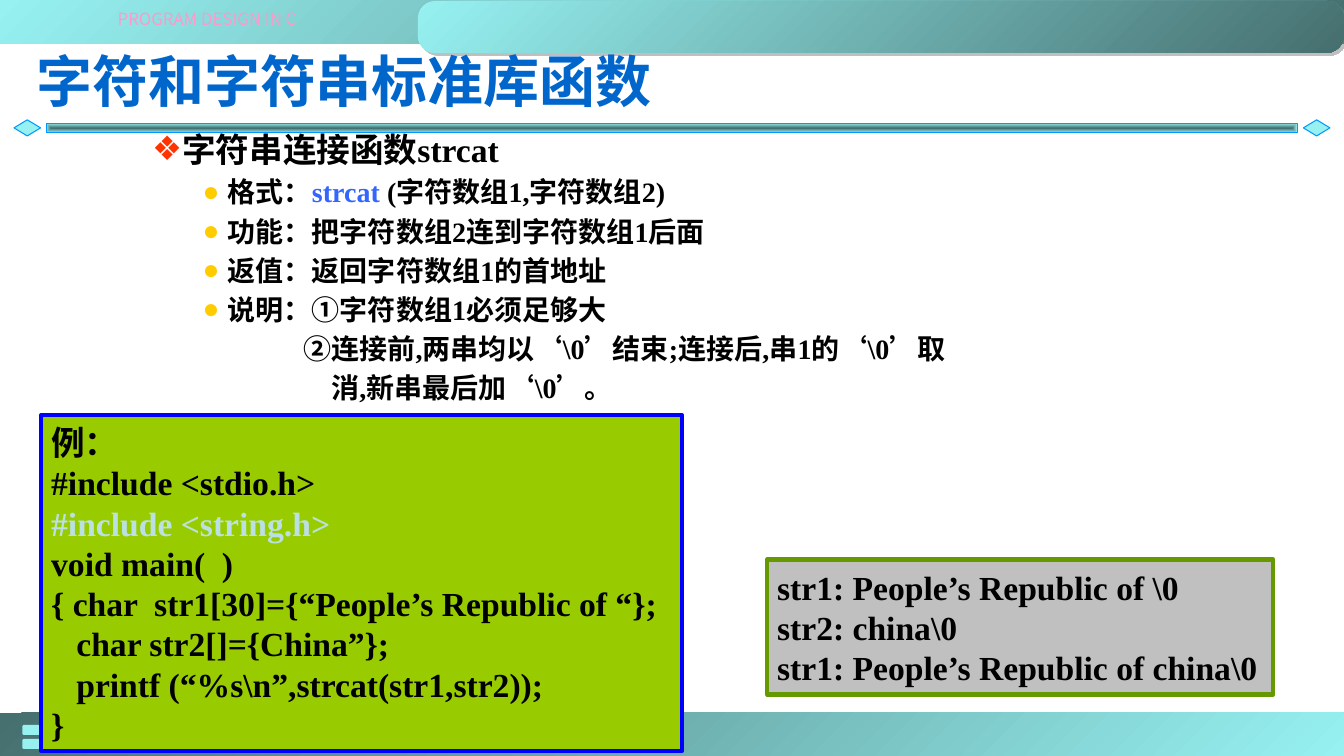
from dataclasses import dataclass

from lxml.etree import SubElement
from pptx import Presentation
from pptx.dml.color import RGBColor
from pptx.enum.shapes import MSO_SHAPE as Preset
from pptx.enum.text import MSO_ANCHOR as Anchor, MSO_AUTO_SIZE as AutoSize, PP_ALIGN as Align
from pptx.oxml.ns import qn
from pptx.util import Pt


@dataclass(frozen=True)
class Theme:
    aqua: str = "97F1F1"
    teal: str = "466F6F"
    edge: str = "0099FF"
    title: str = "0066CC"
    tag: str = "FF99CC"
    ink: str = "000000"
    keyword: str = "3366FF"
    include: str = "BBE0E3"
    topic_mark: str = "FF3300"
    item_mark: str = "FFCC00"
    shadow: str = "808080"
    code: tuple = ("99CC00", "0000FF")
    output: tuple = ("C0C0C0", "669900")
    title_size: int = 40
    topic_size: int = 24
    item_size: int = 20
    tag_size: int = 12
    latin: str = "Times New Roman"
    asian: str = "Noto Sans CJK SC"
    title_font: str = "Noto Sans CJK JP"


def rgb(value):
    return RGBColor.from_string(value)


class SlideBuilder:
    def __init__(self, page, theme):
        self.page, self.theme = page, theme

    def style(self, span, size, color, bold=True, latin=None, asian=None):
        font = span.font
        font.size, font.bold = Pt(size), bold
        font.color.rgb = rgb(color)
        font.name = latin or self.theme.latin
        SubElement(font._element, qn("a:ea"), typeface=asian or self.theme.asian)

    def shape(self, preset, at, fill=None, line=None, weight=0.75, adjust=None):
        shape = self.page.shapes.add_shape(preset, *map(Pt, at))
        shape.shadow.inherit = False
        if adjust is not None:
            shape.adjustments[0] = adjust
        if fill:
            shape.fill.solid()
            shape.fill.fore_color.rgb = rgb(fill)
        if line:
            shape.line.color.rgb = rgb(line)
            shape.line.width = Pt(weight)
        else:
            shape.line.fill.background()
        return shape

    def gradient(self, shape, start, end, from_center=False):
        fill = shape.fill
        fill.gradient()
        fill.gradient_angle = 315
        for stop, color in zip(fill.gradient_stops, (start, end)):
            stop.color.rgb = rgb(color)
        if from_center:
            linear = next(shape._element.iter(qn("a:lin")))
            holder = linear.getparent()
            holder.remove(linear)
            radial = SubElement(holder, qn("a:path"), path="rect")
            sides = dict.fromkeys("ltrb", "50000")
            SubElement(radial, qn("a:fillToRect"), **sides)

    def drop_shadow(self, shape):
        effects = next(shape._element.iter(qn("a:effectLst")))
        shadow = SubElement(effects, qn("a:outerShdw"), dist=str(Pt(2.8)), dir="2700000")
        color = SubElement(shadow, qn("a:srgbClr"), val=self.theme.shadow)
        SubElement(color, qn("a:alpha"), val="50000")

    def tag(self, text, at):
        box = self.page.shapes.add_textbox(*map(Pt, at))
        frame = box.text_frame
        frame.margin_top = frame.margin_bottom = 0
        frame.word_wrap = True
        frame.text = text
        para = frame.paragraphs[0]
        para.alignment = Align.CENTER
        theme = self.theme
        self.style(para.runs[0], theme.tag_size, theme.tag, False, theme.asian)

    def placeholder(self, holder, at, anchor):
        """Place a template placeholder above everything drawn so far."""
        holder.left, holder.top, holder.width, holder.height = map(Pt, at)
        element = holder._element
        element.getparent().append(element)
        frame = holder.text_frame
        frame.word_wrap, frame.auto_size = True, AutoSize.NONE
        frame.vertical_anchor = anchor
        return frame

    def title(self, text, at):
        frame = self.placeholder(self.page.shapes.title, at, Anchor.MIDDLE)
        frame.text = text
        para = frame.paragraphs[0]
        para.alignment = Align.LEFT
        theme = self.theme
        self.style(para.runs[0], theme.title_size, theme.title, True,
                   theme.title_font, theme.title_font)

    def outline(self, rows, at):
        """Fill the body with rows of (level, left, mark, mark colour, spans)."""
        theme = self.theme
        frame = self.placeholder(self.page.placeholders[1], at, Anchor.TOP)
        for index, (level, left, mark, mark_color, spans) in enumerate(rows):
            para = frame.add_paragraph() if index else frame.paragraphs[0]
            size = theme.topic_size if level == 1 else theme.item_size
            para.level = level
            para.line_spacing = Pt(1.2 * size)
            para.space_before = Pt(0.2 * size if index else 0)
            props = para._p.get_or_add_pPr()
            props.set("marL", str(Pt(left)))
            props.set("indent", str(Pt(-18 if mark else 0)))
            if mark:
                tint = SubElement(props, qn("a:buClr"))
                SubElement(tint, qn("a:srgbClr"), val=mark_color)
                SubElement(props, qn("a:buChar"), char=mark)
            else:
                SubElement(props, qn("a:buNone"))
            for text, color in spans:
                span = para.add_run()
                span.text = text
                self.style(span, size, color)

    def panel(self, lines, at, colors, highlight=()):
        theme = self.theme
        fill, line = colors
        frame = self.shape(Preset.RECTANGLE, at, fill, line, 3).text_frame
        frame.word_wrap = False
        frame.vertical_anchor = Anchor.MIDDLE
        frame.text = "\n".join(lines)
        for para in frame.paragraphs:
            para.alignment = Align.LEFT
            para.line_spacing = Pt(1.2 * theme.topic_size)
            color = theme.include if para.text in highlight else theme.ink
            self.style(para.runs[0], theme.topic_size, color)


def main():
    deck = Presentation()
    deck.slide_width, deck.slide_height = Pt(960), Pt(540)
    theme = Theme()
    page = deck.slides.add_slide(deck.slide_layouts[1])
    slide = SlideBuilder(page, theme)

    footer = slide.shape(Preset.RECTANGLE, (0, 509, 960, 31))
    slide.gradient(footer, theme.teal, theme.aqua)
    header = slide.shape(Preset.RECTANGLE, (0, 0, 960, 31))
    slide.gradient(header, theme.aqua, theme.teal)
    banner = slide.shape(Preset.ROUNDED_RECTANGLE, (298.5, 0.7, 661.5, 37), adjust=0.333)
    slide.gradient(banner, theme.aqua, theme.teal)
    slide.drop_shadow(banner)

    for left in (10, 931):
        slide.shape(Preset.DIAMOND, (left, 85.6, 19, 11.5), theme.aqua, theme.edge)
    rule = slide.shape(Preset.RECTANGLE, (33, 88, 893.5, 7), line=theme.edge)
    slide.gradient(rule, theme.teal, theme.aqua, from_center=True)
    for top in (517.8, 527.8):
        slide.shape(Preset.ROUNDED_RECTANGLE, (16, top, 13, 7.2), theme.aqua, adjust=0.167)
    slide.tag("PROGRAM DESIGN IN C", (21.6, 6, 252.7, 18))

    def item(*spans):
        return 2, 126, "●", theme.item_mark, spans

    def continuation(text, left):
        return 2, left, None, None, [(text, theme.ink)]

    ink = theme.ink
    slide.outline([
        (1, 90, "❖", theme.topic_mark, [("字符串连接函数strcat", ink)]),
        item(("格式：", ink), ("strcat ", theme.keyword), ("(字符数组1,字符数组2)", ink)),
        item(("功能：把字符数组2连到字符数组1后面", ink)),
        item(("返值：返回字符数组1的首地址", ink)),
        item(("说明：①字符数组1必须足够大", ink)),
        continuation("②连接前,两串均以‘\\0’结束;连接后,串1的‘\\0’取", 180),
        continuation("消,新串最后加‘\\0’。", 200),
    ], (29.5, 88.5, 888, 210))

    slide.panel([
        "例：",
        "#include <stdio.h>",
        "#include <string.h>",
        "void main(  )",
        "{ char  str1[30]={“People’s Republic of “};",
        "   char str2[]={China”};",
        "   printf (“%s\\n”,strcat(str1,str2));",
        "}",
    ], (29.5, 296.6, 457.5, 239.8), theme.code, {"#include <string.h>"})
    slide.panel([
        "str1: People’s Republic of \\0",
        "str2: china\\0",
        "str1: People’s Republic of china\\0",
    ], (548, 399.6, 361.5, 96.5), theme.output)
    slide.title("字符和字符串标准库函数", (18.7, 26, 922.3, 62.6))

    deck.save("out.pptx")


if __name__ == "__main__":
    main()
